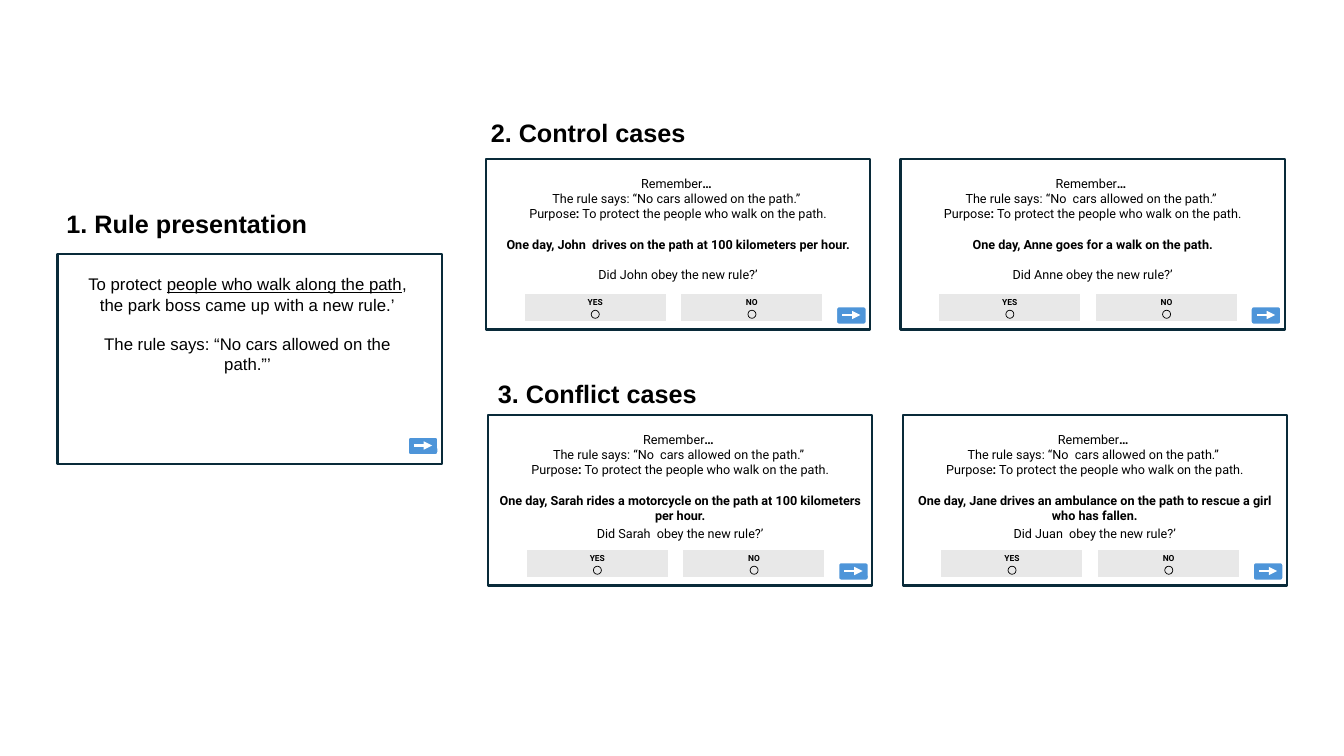
import collections

import pptx
import pptx.dml.color
import pptx.enum.shapes
import pptx.enum.text
import pptx.oxml
import pptx.oxml.ns
import pptx.util

SLIDE_WIDTH = pptx.util.Inches(13.33)
SLIDE_HEIGHT = pptx.util.Inches(7.5)
COLORS = {
    "paper": "FFFFFF",
    "ink": "000000",
    "border": "092A39",
    "button": "4E95D9",
    "answer": "E8E8E8",
}
SHAPES = pptx.enum.shapes.MSO_SHAPE
ALIGN = pptx.enum.text.PP_ALIGN
Box = collections.namedtuple("Box", "left top width height")

PANEL_WIDTH = 28.58
CASE_HEIGHT = 22.53
CASE_PITCH = 30.85
ANSWER_PITCH = 11.66

RULE = [
    ["To protect ", ("people who walk along the path", "underline"),
     ", the park boss came up with a new rule.’"],
    ["The rule says: “No cars allowed on the path.”’"],
]
RULE_WITH_GAP = "The rule says: “No  cars allowed on the path.” "
CONTROL_CASES = [
    ("The rule says: “No cars allowed on the path.” ",
     "One day, John  drives on the path at 100 kilometers per hour.",
     "Did John obey the new rule?’"),
    (RULE_WITH_GAP, "One day, Anne goes for a walk on the path.",
     "Did Anne obey the new rule?’"),
]
CONFLICT_CASES = [
    (RULE_WITH_GAP,
     "One day, Sarah rides a motorcycle on the path at 100 kilometers per hour.",
     "Did Sarah  obey the new rule?’"),
    (RULE_WITH_GAP,
     "One day, Jane drives an ambulance on the path to rescue a girl who has fallen.",
     "Did Juan  obey the new rule?’"),
]


def across(share):
    """Turn a percentage of the slide width into a length."""
    return round(SLIDE_WIDTH * share / 100)


def down(share):
    """Turn a percentage of the slide height into a length."""
    return round(SLIDE_HEIGHT * share / 100)


def place(box):
    """Return the four lengths of a box given in percentages."""
    return across(box.left), down(box.top), across(box.width), down(box.height)


def rgb(name):
    """Look up a named colour."""
    return pptx.dml.color.RGBColor.from_string(COLORS[name])


def add_text(slide, box, paragraphs, size, font="Arial", bold=False,
             align=ALIGN.CENTER, gaps=()):
    """Add a text box; gaps maps paragraph numbers to the space before them."""
    frame = slide.shapes.add_textbox(*place(box)).text_frame
    frame.word_wrap = True
    space_before = dict(gaps)
    for number, pieces in enumerate(paragraphs):
        paragraph = frame.paragraphs[0] if number == 0 else frame.add_paragraph()
        paragraph.alignment = align
        if number in space_before:
            paragraph.space_before = pptx.util.Pt(space_before[number])
        for piece in pieces:
            words, style = (piece, "") if isinstance(piece, str) else piece
            run = paragraph.add_run()
            run.text = words
            run.font.name = font
            run.font.size = pptx.util.Pt(size)
            run.font.color.rgb = rgb("ink")
            run.font.bold = bold or style == "bold"
            run.font.underline = style == "underline"


def add_block(slide, preset, box, fill, line, weight):
    """Add a filled and outlined preset shape."""
    block = slide.shapes.add_shape(preset, *place(box))
    block.shadow.inherit = False
    block.fill.solid()
    block.fill.fore_color.rgb = rgb(fill)
    block.line.color.rgb = rgb(line)
    block.line.width = pptx.util.Pt(weight)


def add_next_button(slide, panel, rise):
    """Add the arrow button in the lower right corner of a panel."""
    left = panel.left + panel.width - 2.55
    top = panel.top + panel.height - rise
    add_block(slide, SHAPES.ROUNDED_RECTANGLE, Box(left, top, 2.33, 2.53),
              "button", "paper", 2)
    middle = down(top + 1.2)
    arrow = slide.shapes.add_connector(
        pptx.enum.shapes.MSO_CONNECTOR.STRAIGHT,
        across(left + 0.49), middle, across(left + 1.84), middle)
    arrow.line.color.rgb = rgb("paper")
    arrow.line.width = pptx.util.Pt(1.5)
    head = pptx.oxml.parse_xml(
        f'<a:tailEnd {pptx.oxml.ns.nsdecls("a")} type="triangle"/>')
    arrow.line._get_or_add_ln().append(head)
    arrow._element.spPr.append(pptx.oxml.parse_xml(
        f'<a:effectLst {pptx.oxml.ns.nsdecls("a")}/>'))


def add_panel(slide, panel):
    """Add the outlined frame of one screen."""
    add_block(slide, SHAPES.RECTANGLE, panel, "paper", "border", 1.5)


def add_title(slide, left, top, title):
    """Add the heading of one stage."""
    add_text(slide, Box(left, top, 20.63, 5.33), [[title]], 18,
             bold=True, align=ALIGN.LEFT)


def add_answer(slide, left, top, label):
    """Add one answer field with its label and radio button."""
    add_block(slide, SHAPES.RECTANGLE, Box(left, top, 10.65, 3.8),
              "answer", "paper", 1.5)
    add_block(slide, SHAPES.OVAL, Box(left + 5.03, top + 2.27, 0.6, 1.07),
              "answer", "ink", 0.5)
    add_text(slide, Box(left + 3.86, top - 0.13, 2.93, 2.67), [[label]], 6,
             font="Roboto", bold=True)


def add_rule_screen(slide, panel):
    """Build the screen that presents the rule."""
    add_panel(slide, panel)
    add_text(slide, Box(panel.left + 1.2, panel.top + 2, 25.88, 14.8),
             RULE, 12, gaps=[(1, 14)])
    add_next_button(slide, panel, 3.6)


def add_case_screen(slide, panel, case, question_gap):
    """Build one screen that asks whether the rule was obeyed."""
    reminder, event, question = case
    add_panel(slide, panel)
    add_text(slide, Box(panel.left, panel.top + 1.55, panel.width, 15.6), [
        ["Remember", ("… ", "bold")],
        [reminder],
        ["Purpose", (":", "bold"), " To protect the people who walk on the path."],
        [(event, "bold")],
        [question],
    ], 9, font="Roboto", gaps=[(3, 11), (4, question_gap)])
    for number, label in enumerate(["YES", "NO"]):
        add_answer(slide, panel.left + 2.81 + number * ANSWER_PITCH,
                   panel.top + 17.7, label)
    add_next_button(slide, panel, 3.13)


def add_case_row(slide, left, top, cases, question_gap):
    """Build a row of case screens at an equal pitch."""
    for number, case in enumerate(cases):
        panel = Box(left + number * CASE_PITCH, top, PANEL_WIDTH, CASE_HEIGHT)
        add_case_screen(slide, panel, case, question_gap)


def main():
    """Build and save the slide."""
    deck = pptx.Presentation()
    deck.slide_width = SLIDE_WIDTH
    deck.slide_height = SLIDE_HEIGHT
    slide = deck.slides.add_slide(deck.slide_layouts[6])
    add_rule_screen(slide, Box(4.28, 33.6, PANEL_WIDTH, 27.73))
    add_case_row(slide, 36.15, 21.07, CONTROL_CASES, 11)
    add_case_row(slide, 36.31, 54.93, CONFLICT_CASES, 2)
    add_title(slide, 4.2, 26.93, "1. Rule presentation")
    add_title(slide, 35.78, 14.8, "2. Control cases")
    add_title(slide, 36.31, 49.33, "3. Conflict cases")
    deck.save("out.pptx")


if __name__ == "__main__":
    main()
